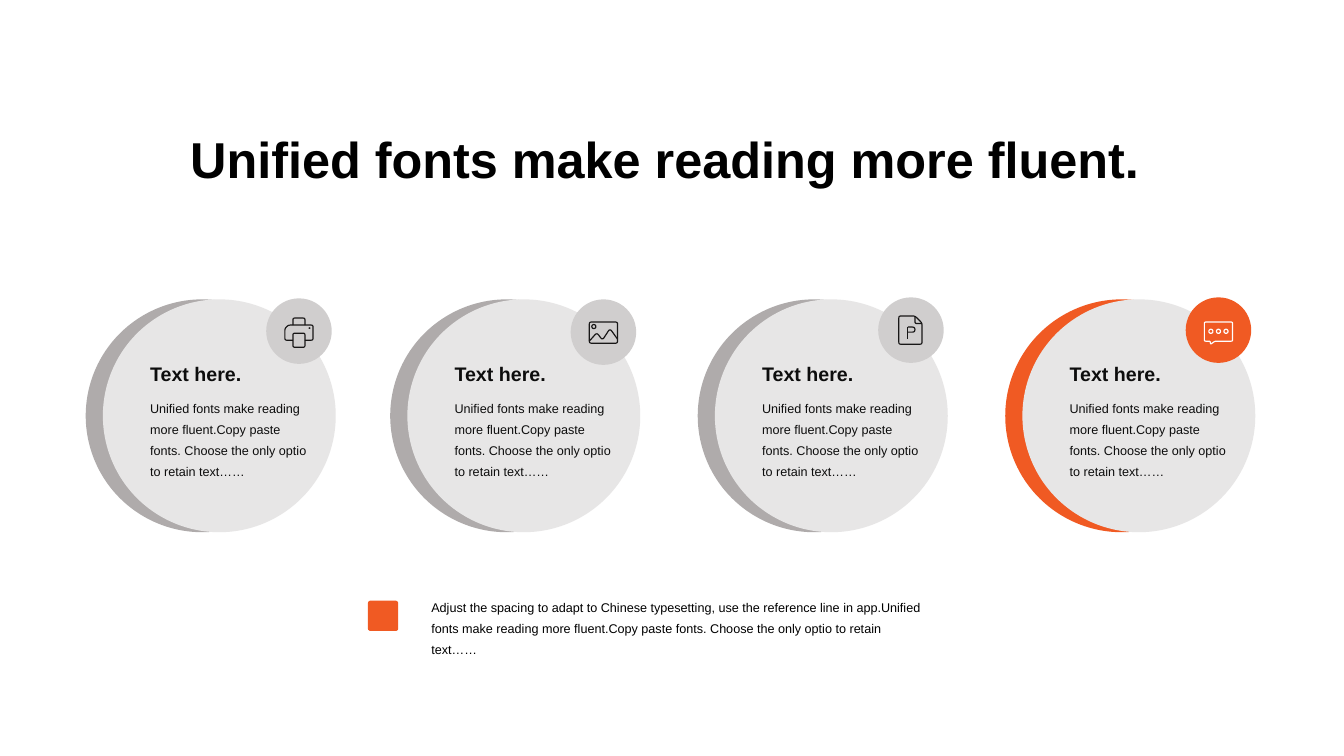
import math
from dataclasses import dataclass

from pptx import Presentation
from pptx import util as u
from pptx.dml.color import RGBColor
from pptx.enum import shapes, text

ORANGE = RGBColor(0xF0, 0x5A, 0x23)
CRESCENT_GRAY = RGBColor(0xAF, 0xAB, 0xAB)
DISC_GRAY = RGBColor(0xE7, 0xE6, 0xE6)
BADGE_GRAY = RGBColor(0xD0, 0xCE, 0xCE)
INK = RGBColor(0x18, 0x17, 0x17)
NEAR_BLACK = RGBColor(0x0D, 0x0D, 0x0D)
BLACK = RGBColor(0, 0, 0)
WHITE = RGBColor(0xFF, 0xFF, 0xFF)

CELL = u.Inches(0.1)  # the slide is a grid of 133.3 columns by 75 rows
COLUMNS, ROWS = 133.3, 75
ICON_UNIT = CELL / 10
DISC_ROW, DISC_SIZE = 29.7, 23.1
BADGE_SIZE = 6.5

HEADING = "Text here."
BODY = ("Unified fonts make reading more fluent.Copy paste fonts. "
        "Choose the only optio to retain text……")
NOTE = ("Adjust the spacing to adapt to Chinese typesetting, "
        "use the reference line in app.") + BODY

Point = tuple[float, float]


@dataclass(frozen=True)
class Stroke:
    points: list[Point]
    closed: bool = True
    radius: float = 2


@dataclass(frozen=True)
class Icon:
    column: float  # counted from the card's left edge
    row: float
    strokes: list[Stroke]


@dataclass(frozen=True)
class Card:
    column: float
    badge_row: float
    icon: Icon
    crescent: RGBColor = CRESCENT_GRAY
    badge: RGBColor = BADGE_GRAY
    ink: RGBColor = INK


def cells(count: float) -> u.Emu:
    return u.Emu(round(count * CELL))


def ring(x: float, y: float, radius: float) -> Stroke:
    angles = [math.tau * step / 24 for step in range(24)]
    return Stroke([(x + radius * math.cos(a), y + radius * math.sin(a))
                   for a in angles], radius=0)


def box(left: float, top: float, right: float, bottom: float) -> Stroke:
    return Stroke([(left, top), (right, top), (right, bottom), (left, bottom)])


def toward(start: Point, end: Point, distance: float) -> Point:
    share = min(distance / math.dist(start, end), 0.5)
    return (start[0] + share * (end[0] - start[0]),
            start[1] + share * (end[1] - start[1]))


def rounded(stroke: Stroke) -> list[Point]:
    """Replace each corner of a stroke by a short curve."""
    points, path = stroke.points, []
    if not stroke.radius:
        return points
    for i, corner in enumerate(points):
        if not stroke.closed and i in (0, len(points) - 1):
            path.append(corner)
            continue
        a = toward(corner, points[i - 1], stroke.radius)
        b = toward(corner, points[(i + 1) % len(points)], stroke.radius)
        for t in (0, 0.25, 0.5, 0.75, 1):
            path.append(tuple((1 - t) ** 2 * p + 2 * t * (1 - t) * q + t * t * r
                              for p, q, r in zip(a, corner, b)))
    return path


PRINTER = Icon(19.7, 31.5, [
    Stroke([(8.5, 22.5), (0.5, 22.5), (0.5, 11), (4, 7.5), (28.5, 7.5),
            (28.5, 22.5), (20.5, 22.5)], closed=False),
    Stroke([(8.5, 7.5), (8.5, 0.5), (20.5, 0.5), (20.5, 7.5)], closed=False),
    box(8.5, 15.5, 20.5, 29.5),
    ring(25, 10.5, 0.3),
])
PHOTO = Icon(19.7, 31.9, [
    box(0.5, 0.5, 28.5, 21.5),
    ring(5, 5, 2),
    Stroke([(0.5, 19.5), (8, 11), (13.5, 18.5), (21, 7), (28.5, 17.5)],
           closed=False, radius=3),
])
DOCUMENT = Icon(19.9, 31.3, [
    Stroke([(0.5, 0.5), (16.5, 0.5), (23.5, 7.5), (23.5, 28.5), (0.5, 28.5)]),
    Stroke([(16.5, 0.5), (16.5, 8), (23.5, 8)], closed=False),
    Stroke([(9.5, 23), (9.5, 11.5)], closed=False),
    Stroke([(9.5, 11.5), (16.5, 11.5), (16.5, 16.5), (9.5, 16.5)],
           closed=False, radius=2.5),
])
CHAT = Icon(19.7, 31.9, [
    Stroke([(0.5, 0.5), (28.5, 0.5), (28.5, 19.5), (11, 19.5), (6.5, 22.7),
            (6.5, 19.5), (0.5, 19.5)], radius=1.5),
    *[ring(x, 9.7, 2) for x in (7, 14.5, 22)],
])

CARDS = [
    Card(8.5, 29.6, PRINTER),
    Card(38.7, 29.7, PHOTO),
    Card(69.2, 29.5, DOCUMENT),
    Card(99.7, 29.5, CHAT, crescent=ORANGE, badge=ORANGE, ink=WHITE),
]


def add_solid(slide, kind, column: float, row: float, size: float,
              color: RGBColor):
    solid = slide.shapes.add_shape(kind, cells(column), cells(row),
                                   cells(size), cells(size))
    solid.shadow.inherit = False
    solid.fill.solid()
    solid.fill.fore_color.rgb = color
    solid.line.fill.background()
    return solid


def add_text(slide, words: str, column: float, row: float, width: float,
             height: float, *, size: float, color: RGBColor = NEAR_BLACK,
             bold: bool = False, align=text.PP_ALIGN.LEFT,
             leading: float | None = None) -> None:
    frame = slide.shapes.add_textbox(cells(column), cells(row), cells(width),
                                     cells(height)).text_frame
    frame.word_wrap = True
    frame.auto_size = text.MSO_AUTO_SIZE.SHAPE_TO_FIT_TEXT
    paragraph = frame.paragraphs[0]
    paragraph.alignment = align
    if leading:
        paragraph.line_spacing = u.Pt(leading)
    run = paragraph.add_run()
    run.text = words
    run.font.name = "Arial"
    run.font.size = u.Pt(size)
    run.font.bold = bold
    run.font.color.rgb = color


def add_icon(slide, icon: Icon, card_column: float, ink: RGBColor) -> None:
    left, top = cells(card_column + icon.column), cells(icon.row)
    builder = None
    for stroke in icon.strokes:
        first, *rest = [(left + x * ICON_UNIT, top + y * ICON_UNIT)
                        for x, y in rounded(stroke)]
        if builder is None:
            builder = slide.shapes.build_freeform(*first)
        else:
            builder.move_to(*first)
        builder.add_line_segments(rest, close=stroke.closed)
    drawing = builder.convert_to_shape()
    drawing.shadow.inherit = False
    drawing.fill.background()
    drawing.line.color.rgb = ink
    drawing.line.width = u.Pt(0.85)


def add_card(slide, card: Card) -> None:
    oval = shapes.MSO_SHAPE.OVAL
    add_solid(slide, oval, card.column, DISC_ROW, DISC_SIZE, card.crescent)
    add_solid(slide, oval, card.column + 1.7, DISC_ROW, DISC_SIZE, DISC_GRAY)
    text_column = card.column + 5.4
    add_text(slide, HEADING, text_column, 35.4, 22, 3.4, size=14, bold=True)
    add_text(slide, BODY, text_column, 38.7, 17.9, 9.2, size=9, leading=15)
    add_solid(slide, oval, card.column + 17.9, card.badge_row, BADGE_SIZE,
              card.badge)
    add_icon(slide, card.icon, card.column, card.ink)


def main() -> None:
    deck = Presentation()
    deck.slide_width, deck.slide_height = cells(COLUMNS), cells(ROWS)
    slide = deck.slides.add_slide(deck.slide_layouts[6])
    add_text(slide, "Unified fonts make reading more fluent. ", 8.8, 12.2,
             115.7, 7.1, size=36, color=BLACK, bold=True,
             align=text.PP_ALIGN.CENTER)
    for card in CARDS:
        add_card(slide, card)
    marker = add_solid(slide, shapes.MSO_SHAPE.ROUNDED_RECTANGLE, 36.5, 59.6,
                       3, ORANGE)
    marker.adjustments[0] = 0.08
    add_text(slide, NOTE, 41.8, 58.45, 50.7, 7.1, size=9, color=BLACK,
             leading=15)
    deck.save("out.pptx")


if __name__ == "__main__":
    main()
